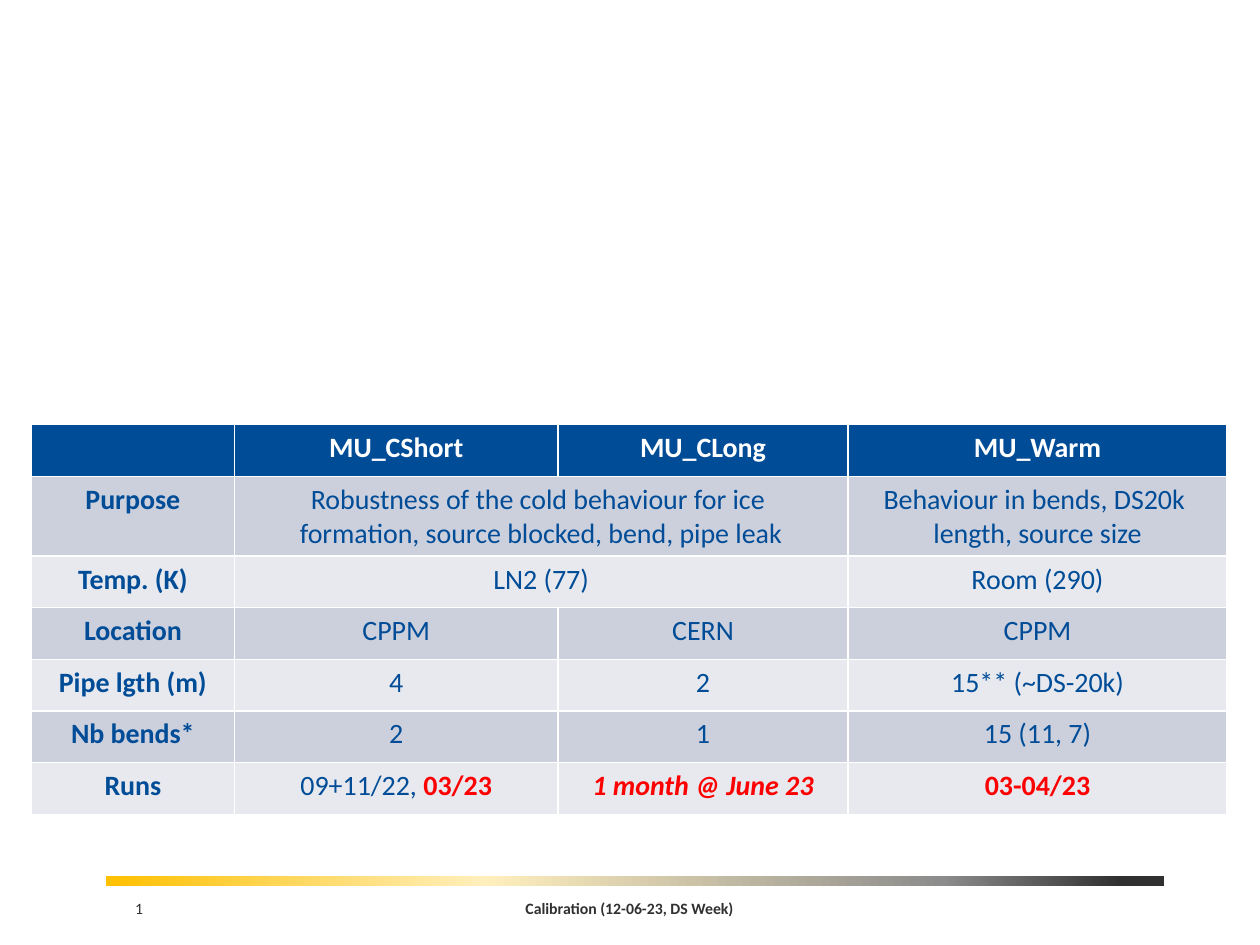
from copy import deepcopy

from pptx import Presentation
from pptx.dml.color import RGBColor
from pptx.enum.shapes import MSO_SHAPE
from pptx.enum.text import PP_ALIGN
from pptx.util import Inches, Pt

COLORS = {
    "blue": "004C97",
    "band_dark": "CCD0DD",
    "band_light": "E7E9EF",
    "white": "FFFFFF",
    "red": "FF0000",
    "charcoal": "303030",
}
GRADIENT = [(0, "FFC000"), (0.36, "FFEFBD"), (0.79, "8C8C8C"), (0.96, "303030")]


def format_run(run, size, color, bold=False, italic=False):
    run.font.name = "Calibri"
    run.font.size = Pt(size)
    run.font.bold = bold
    run.font.italic = italic
    run.font.color.rgb = RGBColor.from_string(COLORS[color])


presentation = Presentation()
presentation.slide_width = Inches(10)
presentation.slide_height = Inches(7.5)
slide = presentation.slides.add_slide(presentation.slide_layouts[6])

# Gradient bar above the footer
bar = slide.shapes.add_shape(
    MSO_SHAPE.RECTANGLE, Inches(0.84), Inches(6.95), Inches(8.4), Inches(0.08))
bar.shadow.inherit = False
bar.line.fill.background()
bar.fill.gradient()
bar.fill.gradient_angle = 0
stop_list = bar.fill._fill._gradFill.gsLst
while len(stop_list) < len(GRADIENT):
    stop_list.append(deepcopy(stop_list[0]))
for stop, (position, color) in zip(bar.fill.gradient_stops, GRADIENT):
    stop.position = position
    stop.color.rgb = RGBColor.from_string(color)

# Footer: slide number and event
for text, left, width, bold in [
    ("1", 0.86, 0.49, False),
    ("Calibration (12-06-23, DS Week)", 2.1, 5.79, True),
]:
    footer = slide.shapes.add_textbox(
        Inches(left), Inches(7.13), Inches(width), Inches(0.26))
    frame = footer.text_frame
    frame.word_wrap = True
    frame.margin_left = frame.margin_right = 0
    frame.margin_top = frame.margin_bottom = 0
    frame.text = text
    frame.paragraphs[0].alignment = PP_ALIGN.CENTER
    format_run(frame.paragraphs[0].runs[0], 9, "charcoal", bold)

# Table of mock-ups; None marks a cell covered by the one on its left
rows = [
    ["", "MU_CShort", "MU_CLong", "MU_Warm"],
    ["Purpose",
     "Robustness of the cold behaviour for ice \n"
     "formation, source blocked, bend, pipe leak",
     None,
     "Behaviour in bends, DS20k \nlength, source size"],
    ["Temp. (K)", "LN2 (77)", None, "Room (290)"],
    ["Location", "CPPM", "CERN", "CPPM"],
    ["Pipe lgth (m)", "4", "2", "15** (~DS-20k)"],
    ["Nb bends*", "2", "1", "15 (11, 7)"],
    ["Runs", "09+11/22, ", "1 month @ June 23", "03-04/23"],
]
column_widths = [1.61, 2.57, 2.3, 3.01]
row_height = 0.41
table = slide.shapes.add_table(
    len(rows), len(column_widths), Inches(0.25), Inches(3.37),
    Inches(sum(column_widths)), Inches(row_height * len(rows))).table
for column, width in zip(table.columns, column_widths):
    column.width = Inches(width)

for row_index, row in enumerate(rows):
    table.rows[row_index].height = Inches(row_height)
    is_header = row_index == 0
    band = "blue" if is_header else "band_dark" if row_index % 2 else "band_light"
    for column_index, text in enumerate(row):
        cell = table.cell(row_index, column_index)
        cell.fill.solid()
        cell.fill.fore_color.rgb = RGBColor.from_string(COLORS[band])
        if text is None:
            table.cell(row_index, column_index - 1).merge(cell)
            continue
        cell.text_frame.text = text
        is_date = row[0] == "Runs" and column_index > 1
        color = "white" if is_header else "red" if is_date else "blue"
        bold = is_header or column_index == 0 or is_date
        for paragraph in cell.text_frame.paragraphs:
            paragraph.alignment = PP_ALIGN.CENTER
            paragraph.font.size = Pt(16)
            for run in paragraph.runs:
                format_run(run, 16, color, bold, is_date and column_index == 2)

# Latest short cold run, highlighted
latest_run = table.cell(len(rows) - 1, 1).text_frame.paragraphs[0].add_run()
latest_run.text = "03/23"
format_run(latest_run, 16, "red", bold=True)

presentation.save("out.pptx")
